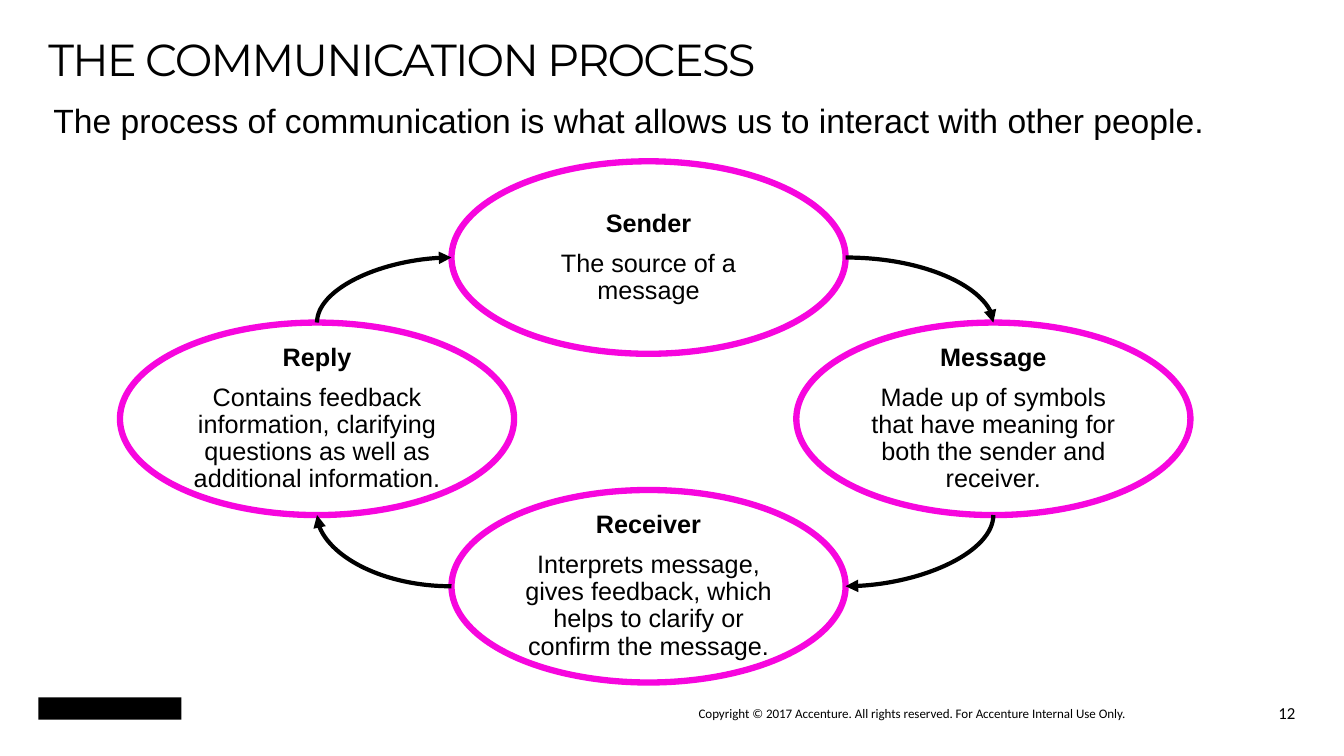
from lxml import etree
from pptx import Presentation
from pptx.dml.color import RGBColor
from pptx.enum.shapes import MSO_CONNECTOR, MSO_SHAPE
from pptx.enum.text import MSO_ANCHOR, MSO_AUTO_SIZE, PP_ALIGN
from pptx.oxml.ns import qn
from pptx.util import Pt

CURVE = MSO_CONNECTOR.CURVE
ELLIPSE = MSO_SHAPE.OVAL
RECTANGLE = MSO_SHAPE.RECTANGLE
MIDDLE = MSO_ANCHOR.MIDDLE
TOP = MSO_ANCHOR.TOP
NO_AUTOFIT = MSO_AUTO_SIZE.NONE
LEFT = PP_ALIGN.LEFT
CENTER = PP_ALIGN.CENTER
RIGHT = PP_ALIGN.RIGHT

ELLIPSE_WIDTH, ELLIPSE_HEIGHT = 281.5, 137.5
STAGES = [
    ("Sender", "The source of a message", 322.5, 115.2, 7.2),
    ("Message", "Made up of symbols that have meaning for both the sender and receiver.",
     568.8, 230.4, 7.2),
    ("Receiver", "Interprets message, gives feedback, which helps to clarify or confirm the message.",
     322.5, 350, 0),
    ("Reply", "Contains feedback information, clarifying questions as well as additional information.",
     85.7, 230.4, 7.2),
]
ARROWS = [
    (0, "right", 1, "top", 0, 1),
    (1, "bottom", 2, "right", 90, 1),
    (2, "left", 3, "bottom", 180, 1),
    (3, "top", 0, "left", 90, -1),
]


def color(value):
    return RGBColor.from_string(value)


def side_point(shape, side):
    across, down = {"top": (0.5, 0), "left": (0, 0.5), "bottom": (0.5, 1), "right": (1, 0.5)}[side]
    return shape.left + shape.width * across, shape.top + shape.height * down


class SlideBuilder:
    black = "000000"
    accent = "F706DE"
    text_font = "Arial"
    title_font = "Montserrat"
    footer_font = "Calibri"

    def __init__(self, slide):
        self.slide = slide

    def place(self, shape, left, top, width, height):
        shape.left, shape.top = Pt(left), Pt(top)
        shape.width, shape.height = Pt(width), Pt(height)

    def format_frame(self, text_frame, anchor):
        text_frame.word_wrap = True
        text_frame.auto_size = NO_AUTOFIT
        text_frame.vertical_anchor = anchor

    def format_paragraph(self, paragraph, font, size, alignment=LEFT, line_spacing=1.0, bold=False):
        paragraph.alignment = alignment
        paragraph.line_spacing = line_spacing
        paragraph.space_before = paragraph.space_after = Pt(0)
        for run in paragraph.runs:
            run.font.name = font
            run.font.size = Pt(size)
            run.font.bold = bold
            run.font.color.rgb = color(self.black)

    def title(self, text, left, top, width, height):
        shape = self.slide.shapes.title
        self.place(shape, left, top, width, height)
        shape.text_frame.text = text
        self.format_frame(shape.text_frame, MIDDLE)
        paragraph = shape.text_frame.paragraphs[0]
        self.format_paragraph(paragraph, self.title_font, 32, line_spacing=0.8)
        paragraph.runs[0].font._element.set("spc", "-130")

    def statement(self, text, left, top, width, height):
        shape = self.slide.placeholders[1]
        self.place(shape, left, top, width, height)
        shape.text_frame.text = text
        self.format_frame(shape.text_frame, TOP)
        paragraph = shape.text_frame.paragraphs[0]
        self.format_paragraph(paragraph, self.text_font, 24)
        properties = paragraph._p.get_or_add_pPr()
        properties.set("marL", "0")
        properties.set("indent", "0")
        etree.SubElement(properties, qn("a:buNone"))

    def stage(self, heading, description, left, top, inset):
        shape = self.slide.shapes.add_shape(
            ELLIPSE, Pt(left), Pt(top), Pt(ELLIPSE_WIDTH), Pt(ELLIPSE_HEIGHT))
        shape.shadow.inherit = False
        shape.fill.background()
        shape.line.color.rgb = color(self.accent)
        shape.line.width = Pt(4.5)
        text_frame = shape.text_frame
        self.format_frame(text_frame, MIDDLE)
        text_frame.margin_left = text_frame.margin_right = Pt(inset)
        text_frame.margin_top = text_frame.margin_bottom = Pt(0)
        text_frame.text = f"{heading}\n{description}"
        first, second = text_frame.paragraphs
        self.format_paragraph(first, self.text_font, 18, CENTER, 0.9, True)
        self.format_paragraph(second, self.text_font, 18, CENTER, 0.9)
        first.space_after = Pt(9)
        return shape

    def curved_arrow(self, start, end, rotation, direction):
        center_x, center_y = (start[0] + end[0]) / 2, (start[1] + end[1]) / 2
        half_width, half_height = abs(end[0] - start[0]) / 2, abs(end[1] - start[1]) / 2
        if rotation == 90:
            half_width, half_height = half_height, half_width
        half_width, half_height = half_width * direction, half_height * direction
        connector = self.slide.shapes.add_connector(
            CURVE, int(center_x - half_width), int(center_y - half_height),
            int(center_x + half_width), int(center_y + half_height))
        connector.line.color.rgb = color(self.black)
        connector.line.width = Pt(3)
        properties = connector._element.spPr
        properties.find(qn("a:xfrm")).set("rot", str(rotation * 60000))
        properties.find(qn("a:prstGeom")).set("prst", "curvedConnector2")
        etree.SubElement(properties.find(qn("a:ln")), qn("a:tailEnd"), type="triangle")
        etree.SubElement(properties, qn("a:effectLst"))

    def footer(self, text, left, top, width, height, size, alignment, inset):
        shape = self.slide.shapes.add_textbox(Pt(left), Pt(top), Pt(width), Pt(height))
        self.format_frame(shape.text_frame, MIDDLE)
        shape.text_frame.margin_left = Pt(inset)
        shape.text_frame.text = text
        self.format_paragraph(shape.text_frame.paragraphs[0], self.footer_font, size, alignment)

    def emblem(self, left, top, width, height):
        shape = self.slide.shapes.add_shape(RECTANGLE, Pt(left), Pt(top), Pt(width), Pt(height))
        shape.shadow.inherit = False
        shape.fill.solid()
        shape.fill.fore_color.rgb = color(self.black)
        shape.line.fill.background()


def main():
    presentation = Presentation()
    presentation.slide_width, presentation.slide_height = Pt(960), Pt(540)
    builder = SlideBuilder(presentation.slides.add_slide(presentation.slide_layouts[1]))

    builder.emblem(27.4, 498.2, 102.2, 15.8)
    builder.footer("Copyright © 2017 Accenture.\u00a0All rights reserved. For Accenture Internal Use Only.".replace("\u00a0", " "),
                   499, 501.8, 355, 15.8, 9.3, LEFT, 0)
    builder.title("THE COMMUNICATION PROCESS", 27.4, 9.4, 799.2, 72)
    stages = [builder.stage(*stage) for stage in STAGES]
    for source, source_side, target, target_side, rotation, direction in ARROWS:
        builder.curved_arrow(side_point(stages[source], source_side),
                             side_point(stages[target], target_side), rotation, direction)
    builder.statement("The process of communication is what allows us to interact with other people.",
                      31, 67.7, 895.7, 65.5)
    builder.footer("12", 871.9, 501.8, 60.5, 15.1, 12, RIGHT, 7.2)
    presentation.save("out.pptx")


if __name__ == "__main__":
    main()
